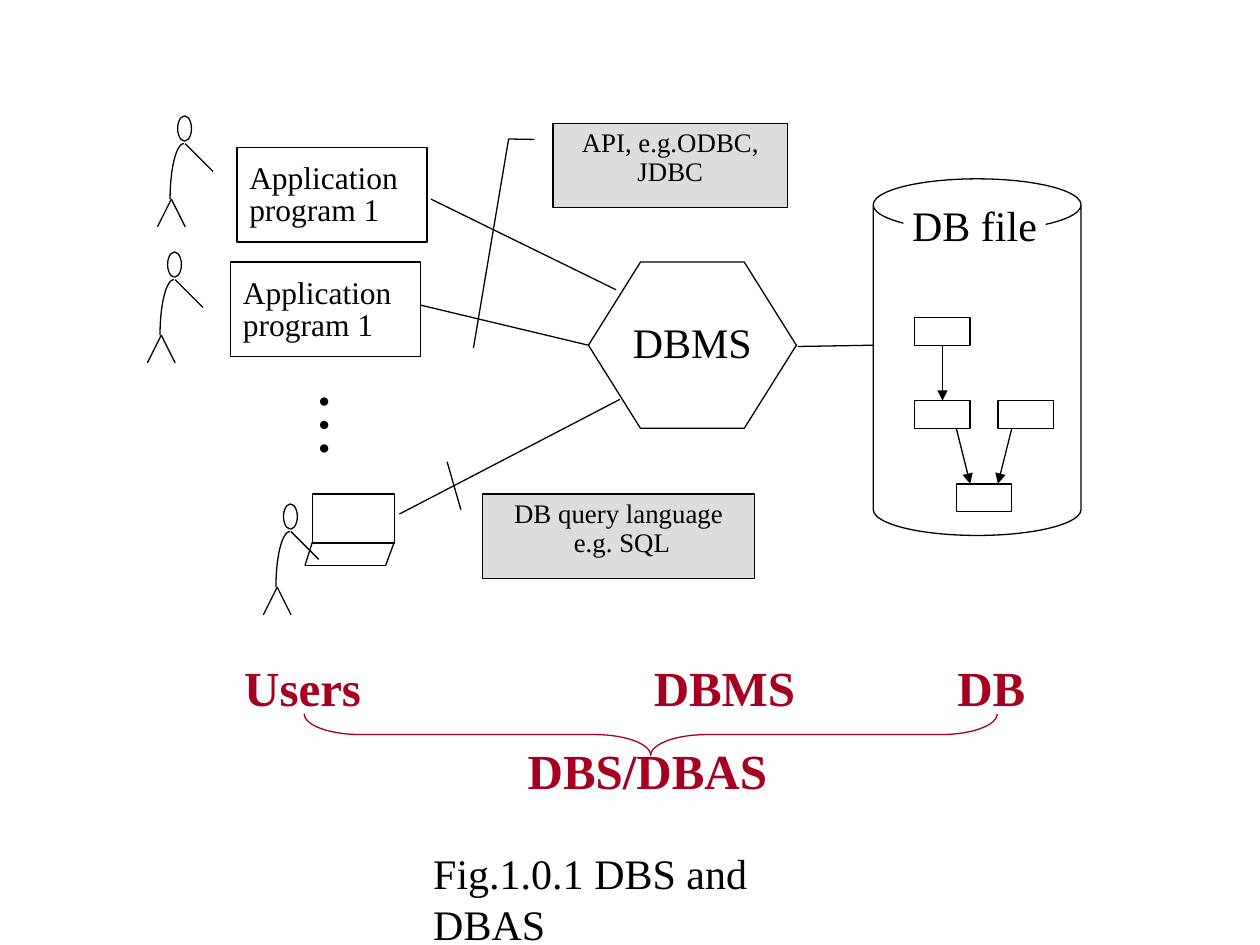
import math
from dataclasses import dataclass
from typing import Optional

from lxml import etree
from pptx import Presentation
from pptx import util as u
from pptx.dml.color import RGBColor
from pptx.enum import shapes as kinds, text
from pptx.oxml.ns import qn

# Grid of 100 columns by 75 rows on a 10 by 7.5 inch slide
WIDTH, HEIGHT = u.Inches(10), u.Inches(7.5)
COLUMNS, ROWS = 100, 75
BLACK, WHITE, GREY, RED = "000000", "FFFFFF", "DDDDDD", "A50021"
KIND, ALIGN = kinds.MSO_SHAPE, text.PP_ALIGN


@dataclass
class Style:
    size: float = 24
    color: str = BLACK
    bold: bool = False
    align: Optional[ALIGN] = None
    spacing: Optional[float] = None
    insets: tuple = (1, 0.5, 1, 0.5)  # left, top, right, bottom, in grid cells


@dataclass
class Box:
    left: float
    top: float
    width: float
    height: float
    kind: KIND = KIND.RECTANGLE
    fill: Optional[str] = WHITE
    line: Optional[str] = BLACK
    adjustments: tuple = ()
    words: str = ""
    style: Optional[Style] = None


@dataclass
class Label:
    left: float
    top: float
    width: float
    height: float
    words: str
    style: Style


def across(columns: float) -> int:
    return round(WIDTH * columns / COLUMNS)


def down(rows: float) -> int:
    return round(HEIGHT * rows / ROWS)


def paint(target, color: str) -> None:
    target.color.rgb = RGBColor.from_string(color)


def outline(shape, color: Optional[str]) -> None:
    if color is None:
        shape.line.fill.background()
        return
    paint(shape.line, color)
    shape.line.width = u.Pt(0.75)


def write(frame, words: str, style: Style, wrap: bool = True) -> None:
    left, top, right, bottom = style.insets
    settings = dict(word_wrap=wrap, vertical_anchor=text.MSO_ANCHOR.TOP,
                    margin_left=across(left), margin_top=down(top),
                    margin_right=across(right), margin_bottom=down(bottom))
    for name, value in settings.items():
        setattr(frame, name, value)
    for index, line in enumerate(words.split("\n")):
        paragraph = frame.add_paragraph() if index else frame.paragraphs[0]
        paragraph.alignment, paragraph.line_spacing = style.align, style.spacing
        run = paragraph.add_run()
        run.text = line
        font = dict(name="Times New Roman", size=u.Pt(style.size), bold=style.bold)
        for name, value in font.items():
            setattr(run.font, name, value)
        paint(run.font, style.color)


def draw_box(shapes, box: Box):
    shape = shapes.add_shape(box.kind, across(box.left), down(box.top),
                             across(box.width), down(box.height))
    shape.shadow.inherit = False
    if box.fill:
        shape.fill.solid()
        shape.fill.fore_color.rgb = RGBColor.from_string(box.fill)
    else:
        shape.fill.background()
    outline(shape, box.line)
    for index, value in enumerate(box.adjustments):
        shape.adjustments[index] = value
    if box.words:
        write(shape.text_frame, box.words, box.style)
    return shape


def draw_line(shapes, x1: float, y1: float, x2: float, y2: float, arrow: bool = False):
    line = shapes.add_connector(kinds.MSO_CONNECTOR.STRAIGHT,
                                across(x1), down(y1), across(x2), down(y2))
    outline(line, BLACK)
    if arrow:
        etree.SubElement(line.line._get_or_add_ln(), qn("a:tailEnd"), type="triangle")
    etree.SubElement(line._element.spPr, qn("a:effectLst"))
    return line


def draw_label(shapes, label: Label, wrap: bool = False):
    shape = shapes.add_textbox(across(label.left), down(label.top),
                               across(label.width), down(label.height))
    write(shape.text_frame, label.words, label.style, wrap)
    shape.text_frame.auto_size = text.MSO_AUTO_SIZE.SHAPE_TO_FIT_TEXT
    return shape


def draw_person(slide, left: float, top: float) -> None:
    """Stick figure placed by the left and top of its head."""
    group = slide.shapes.add_group_shape().shapes
    draw_box(group, Box(left, top, 1.1, 2, KIND.FLOWCHART_CONNECTOR))
    # Back: a quarter of an ellipse from neck to hip
    angles = [math.pi / 2 * step / 24 for step in range(25)]
    points = [(across(left + 0.5 - 1.1 * math.sin(a)), down(top + 6.6 - 4.4 * math.cos(a)))
              for a in angles]
    builder = group.build_freeform(*points[0])
    builder.add_line_segments(points[1:], close=False)
    back = builder.convert_to_shape()
    back.shadow.inherit = False
    back.fill.background()
    outline(back, BLACK)
    # Legs and arm
    for x1, y1, x2, y2 in ((-0.5, 6.6, 0.6, 8.8), (-0.5, 6.6, -1.6, 8.8), (0.6, 2.2, 2.8, 4.4)):
        draw_line(group, left + x1, top + y1, left + x2, top + y2)


def main() -> None:
    presentation = Presentation()
    presentation.slide_width, presentation.slide_height = WIDTH, HEIGHT
    slide = presentation.slides.add_slide(presentation.slide_layouts[6])
    shapes = slide.shapes
    draw_line(shapes, 13.3, 49.5, 13.3, 49.5)

    # Laptop
    laptop = shapes.add_group_shape().shapes
    draw_box(laptop, Box(24.8, 39.2, 6.5, 3.9))
    for ends in ((24.8, 43, 24.2, 44.9), (31.3, 43, 30.6, 44.9), (24.2, 44.9, 30.6, 44.9)):
        draw_line(laptop, *ends)

    # DBMS and database cylinder
    centred = Style(align=ALIGN.CENTER, insets=(0, 2.1, 0, 0.5))
    draw_box(shapes, Box(46.7, 20.8, 16.5, 13.2, KIND.HEXAGON, adjustments=(0.313,),
                         words="DBMS", style=centred))
    draw_box(shapes, Box(69.3, 14.2, 16.5, 28.3, KIND.CAN, adjustments=(0.25,)))

    # Linked records inside the database
    records = shapes.add_group_shape().shapes
    root, child, _, _ = [draw_box(records, Box(left, top, 4.4, 2.2)) for left, top in
                         ((72.6, 25.2), (72.6, 31.8), (79.2, 31.8), (75.9, 38.4))]
    link = draw_line(records, 74.8, 27.4, 74.8, 31.8, arrow=True)
    link.begin_connect(root, 2)
    link.end_connect(child, 0)
    for x1, x2 in ((75.9, 77), (80.3, 79.2)):
        draw_line(records, x1, 34, x2, 38.4, arrow=True)

    # Links to and from the DBMS
    for ends in ((63.3, 27.5, 69.3, 27.4), (34.2, 15.8, 48.9, 23),
                 (33.3, 24.2, 46.7, 27.4), (31.7, 40.8, 49.2, 31.7)):
        draw_line(shapes, *ends)

    # Application programs and database title
    program = Style(18, align=ALIGN.JUSTIFY, spacing=0.85, insets=(1, 1.3, 1, 0.5))
    for left, top in ((18.8, 11.7), (18.3, 20.8)):
        draw_box(shapes, Box(left, top, 15.1, 7.5, words="Application program 1", style=program))
    draw_box(shapes, Box(71.7, 15.8, 11.3, 4.4, line=None, words="DB file",
                         style=Style(align=ALIGN.CENTER, insets=(0, 0, 0, 0))))

    # Vertical ellipsis
    dots = draw_label(shapes, Label(23, 30, 8.6, 9.2, "…", Style(40, insets=(0.5, 1, 0.5, 1))),
                      wrap=True)
    dots.text_frame.paragraphs[0].space_before = u.Pt(25)
    dots.text_frame._txBody.bodyPr.set("vert", "eaVert")

    # Users
    for left, top in ((14.1, 9.2), (22.5, 40), (13.3, 20)):
        draw_person(slide, left, top)

    # Interface callouts
    note = Style(15.3, align=ALIGN.CENTER, spacing=0.9)
    for left, top, width, words, leader in (
            (38.3, 39.2, 21.6, "DB query language\n e.g. SQL", (0.185, -0.08, -0.38, -0.13)),
            (43.9, 9.8, 18.6, "API, e.g.ODBC, JDBC", (0.185, -0.19, 2.66, -0.34))):
        draw_box(shapes, Box(left, top, width, 6.7, KIND.LINE_CALLOUT_2, GREY,
                             adjustments=(0.19, -0.08, *leader), words=words, style=note))

    # System parts, brace and caption
    heading = Style(28, RED, bold=True)
    brace = draw_box(shapes, Box(50, 30.8, 3.3, 55, KIND.LEFT_BRACE, None, RED, (1.36, 0.5)))
    brace.rotation = 270
    for label in (Label(18.4, 51.7, 11.3, 5.7, "Users", heading),
                  Label(50.9, 51.7, 13.2, 5.7, "DBMS", heading),
                  Label(75, 51.7, 7.4, 5.7, "DB", heading),
                  Label(40.9, 58.3, 21, 5.7, "DBS/DBAS", heading),
                  Label(33.4, 66.8, 36.6, 5, "Fig.1.0.1 DBS and DBAS", Style())):
        draw_label(shapes, label)

    presentation.save("out.pptx")


if __name__ == "__main__":
    main()
